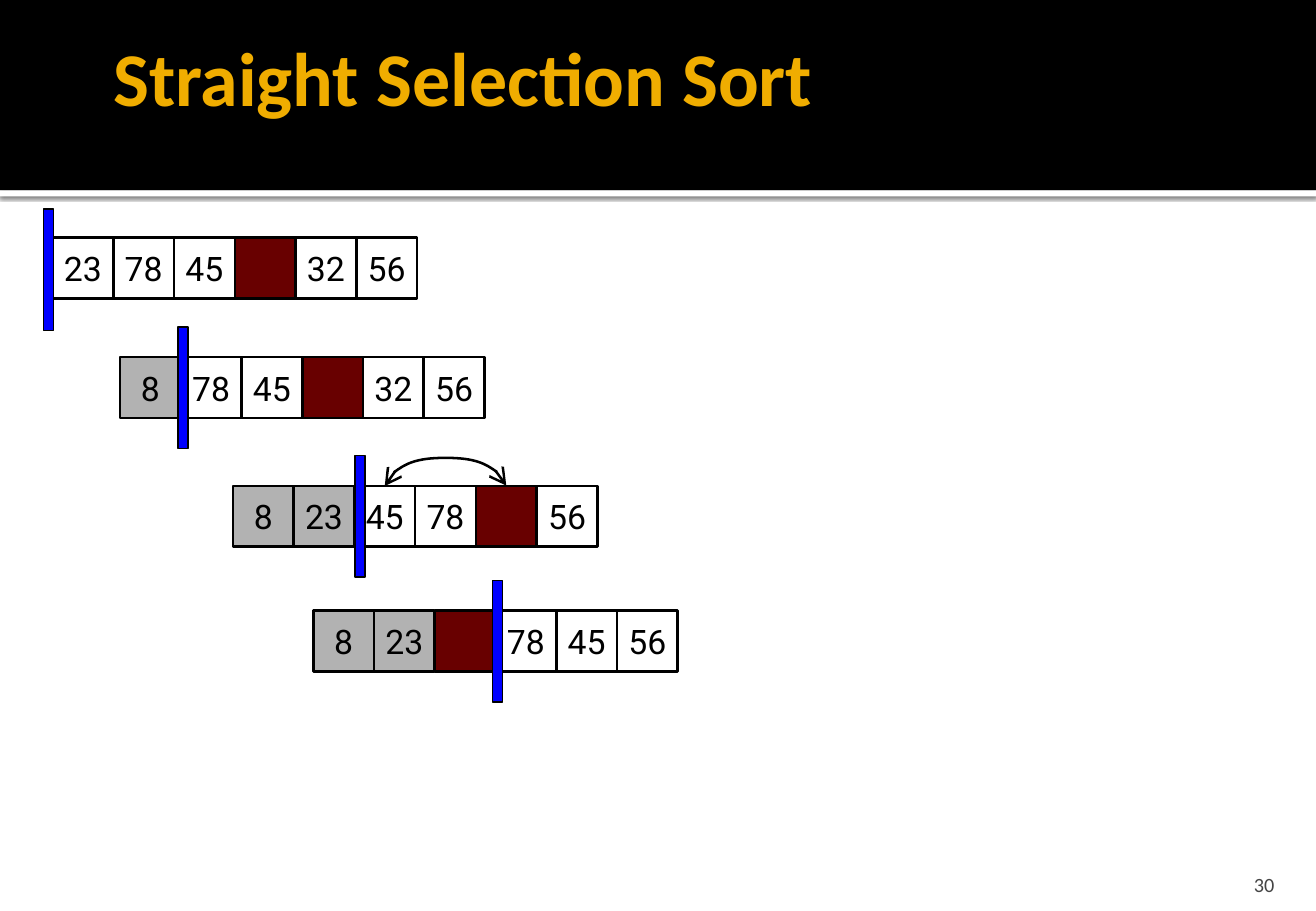
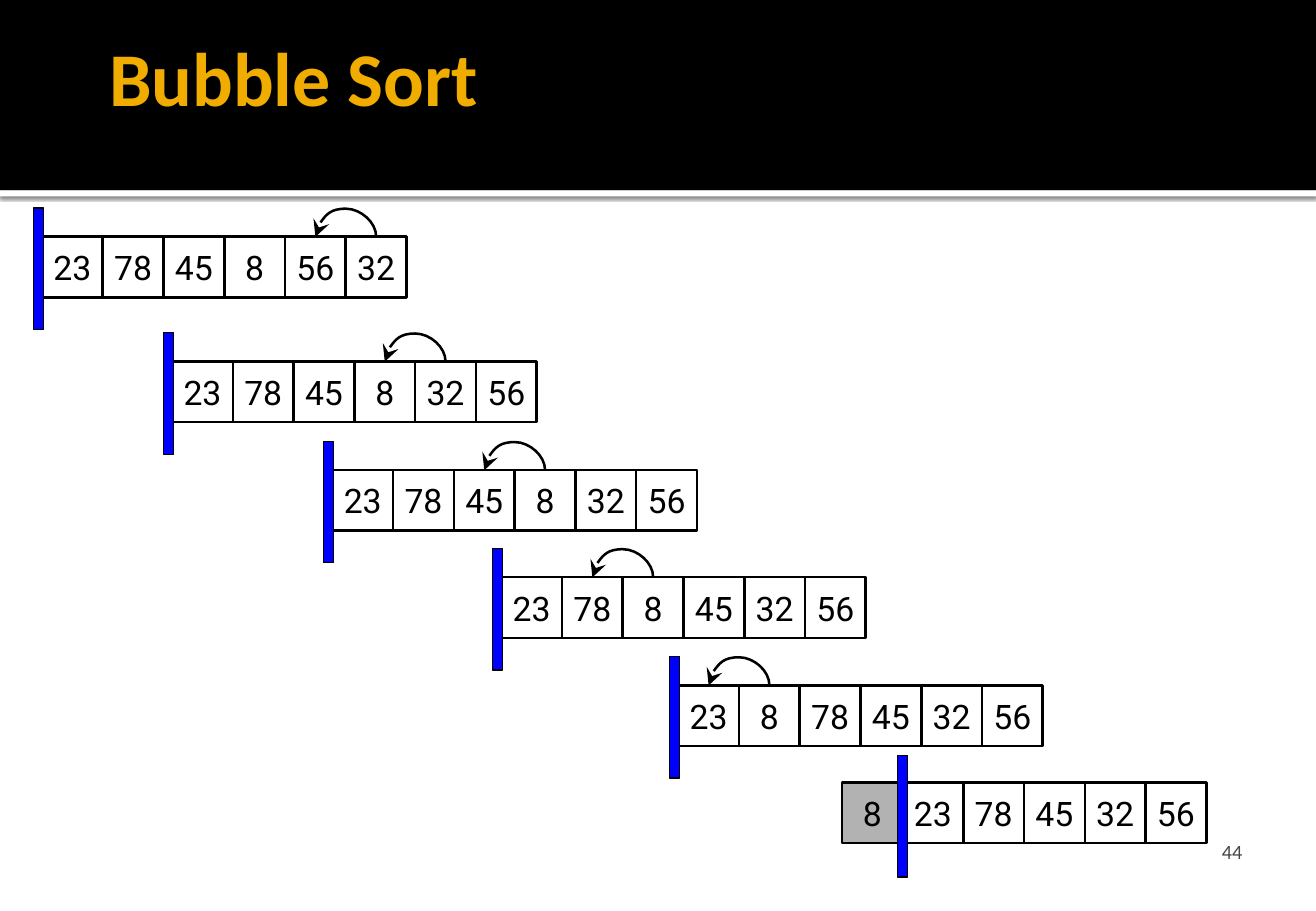
from dataclasses import dataclass
from typing import Any, Optional

from lxml import etree
from pptx import Presentation, util as u
from pptx.dml import color
from pptx.enum import shapes, text
from pptx.oxml import ns

COLORS = {
    "black": "000000",
    "white": "FFFFFF",
    "title": "F0AD00",
    "number": "454545",
    "sorted": "B2B2B2",
    "minimum": "680000",
    "divider": "0000FF",
}
SLIDE_WIDTH, SLIDE_HEIGHT = u.Cm(27.51), u.Cm(19.05)
BAND_HEIGHT, STRIPE_HEIGHT = u.Cm(3.98), u.Cm(0.13)
CELL = u.Cm(1.27)
DIVIDER_WIDTH, DIVIDER_HEIGHT = u.Cm(0.21), u.Cm(2.54)
ARC_RISE, ARC_DEPTH = u.Cm(0.58), u.Cm(0.01)

TITLE_FONT = {"name": "Calibri", "size": u.Pt(45), "bold": True}
NUMBER_FONT = {"name": "Calibri", "size": u.Pt(12)}
CELL_FONT = {"name": "Roboto", "size": u.Pt(20)}
TITLE_FRAME = {
    "vertical_anchor": text.MSO_ANCHOR.MIDDLE, "word_wrap": True,
    "margin_left": u.Cm(0.25), "margin_top": u.Cm(0.13),
    "margin_right": u.Cm(0.13), "margin_bottom": u.Cm(0.13),
}
NUMBER_FRAME = {
    "vertical_anchor": text.MSO_ANCHOR.BOTTOM, "word_wrap": True,
    "margin_left": u.Cm(0.25), "margin_top": u.Cm(0.13),
    "margin_right": u.Cm(0.25), "margin_bottom": 0,
}
CELL_FRAME = {"vertical_anchor": text.MSO_ANCHOR.MIDDLE, "word_wrap": False}


@dataclass(frozen=True)
class Swap:
    """Arc over a row, from one cell back to an earlier one."""
    start: int
    end: int
    ends: dict[str, str]


@dataclass(frozen=True)
class Row:
    """One state of the array, in centimetres; None marks the minimum's cell."""
    left: float
    top: float
    divider: float
    values: tuple[Optional[int], ...]
    sorted_count: int = 0
    swap: Optional[Swap] = None
    divider_rise: float = 0.6


@dataclass(frozen=True)
class SortSlide:
    title: str
    title_left: float
    number: str
    number_left: float
    number_top: float
    rows: tuple[Row, ...]


def bubble(start: int) -> Swap:
    return Swap(start, start - 1, {"tailEnd": "stealth"})


SLIDES = (
    SortSlide("Straight Selection Sort", 2.12, "30", 24.68, 17.98, (
        Row(1.1, 4.97, 0.91, (23, 78, 45, None, 32, 56)),
        Row(2.51, 7.47, 3.72, (8, 78, 45, None, 32, 56), 1, divider_rise=0.63),
        Row(4.87, 10.16, 7.42, (8, 23, 45, 78, None, 56), 2,
            Swap(4, 2, {"headEnd": "arrow", "tailEnd": "arrow"}), 0.63),
        Row(6.55, 12.77, 10.29, (8, 23, None, 78, 45, 56), 2, divider_rise=0.63),
    )),
    SortSlide("Bubble Sort", 2.03, "44", 24.01, 17.29, (
        Row(0.88, 4.95, 0.7, (23, 78, 45, 8, 56, 32), swap=bubble(5)),
        Row(3.6, 7.56, 3.42, (23, 78, 45, 8, 32, 56), swap=bubble(4)),
        Row(6.95, 9.83, 6.76, (23, 78, 45, 8, 32, 56), swap=bubble(3)),
        Row(10.48, 12.07, 10.29, (23, 78, 8, 45, 32, 56), swap=bubble(2)),
        Row(14.18, 14.33, 14.0, (23, 8, 78, 45, 32, 56), swap=bubble(1)),
        Row(17.6, 16.36, 18.77, (8, 23, 78, 45, 32, 56), 1, divider_rise=0.56),
    )),
)


def rgb(name: str) -> color.RGBColor:
    return color.RGBColor.from_string(COLORS[name])


def apply(target: Any, values: dict[str, Any]) -> None:
    for name, value in values.items():
        setattr(target, name, value)


def add_element(parent: Any, tag: str, **attributes: str) -> Any:
    return etree.SubElement(parent, ns.qn(f"a:{tag}"), attributes)


def write(shape: Any, content: str, frame: dict[str, Any], font: dict[str, Any],
          font_color: str, alignment: text.PP_ALIGN) -> None:
    apply(shape.text_frame, frame)
    paragraph = shape.text_frame.paragraphs[0]
    paragraph.text = content
    paragraph.alignment = alignment
    run_font = paragraph.runs[0].font
    apply(run_font, font)
    run_font.color.rgb = rgb(font_color)


def add_box(slide: Any, left: int, top: int, width: int, height: int,
            fill: Optional[str] = None, line: Optional[float] = None) -> Any:
    shape = slide.shapes.add_shape(
        shapes.MSO_SHAPE.RECTANGLE, left, top, width, height)
    shape.shadow.inherit = False
    if fill:
        shape.fill.solid()
        shape.fill.fore_color.rgb = rgb(fill)
    else:
        shape.fill.background()
    if line:
        shape.line.color.rgb = rgb("black")
        shape.line.width = u.Pt(line)
    else:
        shape.line.fill.background()
    return shape


def add_band(slide: Any, layout: Any) -> None:
    """Draw the title band and its stripe, then move them to the layout."""
    stripe = add_box(slide, 0, BAND_HEIGHT, SLIDE_WIDTH, STRIPE_HEIGHT, "white")
    band = add_box(slide, 0, 0, SLIDE_WIDTH, BAND_HEIGHT, "black")
    effects = stripe._element.spPr.find(ns.qn("a:effectLst"))
    shadow = add_element(effects, "outerShdw", blurRad=str(u.Pt(2.5)),
                         dist=str(u.Pt(0.8)), dir="5400000", rotWithShape="0")
    shadow_color = add_element(shadow, "srgbClr", val=COLORS["black"])
    add_element(shadow_color, "alpha", val="60000")
    for index, shape in enumerate((stripe, band)):
        shape._element.nvSpPr.cNvPr.set("id", str(100 + index))
        layout.shapes._spTree.insert(2 + index, shape._element)


def add_arc(slide: Any, start: Any, end: Any, ends: dict[str, str]) -> None:
    """Glue a curved connector to two cell tops and turn it to arch upward."""
    connector = slide.shapes.add_connector(shapes.MSO_CONNECTOR.CURVE, 0, 0, 0, 0)
    connector.begin_connect(start, 0)
    connector.end_connect(end, 0)
    span = start.left - end.left
    middle = (start.left + end.left + CELL) // 2
    apply(connector, {"left": middle - ARC_DEPTH // 2, "top": start.top - span // 2,
                      "width": ARC_DEPTH, "height": span})
    connector.line.color.rgb = rgb("black")
    connector.line.width = u.Pt(1.5)

    properties = connector._element.spPr
    frame = properties.find(ns.qn("a:xfrm"))
    for name, value in {"rot": "16200000", "flipH": "1", "flipV": "1"}.items():
        frame.set(name, value)
    guides = properties.find(f".//{ns.qn('a:avLst')}")
    bend = -round(ARC_RISE / ARC_DEPTH * 100000)
    add_element(guides, "gd", name="adj1", fmla=f"val {bend}")
    line = properties.find(ns.qn("a:ln"))
    for tag, kind in ends.items():
        add_element(line, tag, type=kind, w="lg", len="lg")
    add_element(properties, "effectLst")


def add_row(slide: Any, row: Row) -> None:
    cells = []
    for index, value in enumerate(row.values):
        fill = "sorted" if index < row.sorted_count else None
        if value is None:
            fill = "minimum"
        cell = add_box(slide, u.Cm(row.left) + index * CELL, u.Cm(row.top),
                       CELL, CELL, fill, 1.5)
        if value is not None:
            write(cell, str(value), CELL_FRAME, CELL_FONT, "black",
                  text.PP_ALIGN.CENTER)
        cells.append(cell)
    add_box(slide, u.Cm(row.divider), u.Cm(row.top) - u.Cm(row.divider_rise),
            DIVIDER_WIDTH, DIVIDER_HEIGHT, "divider", 0.75)
    if row.swap:
        add_arc(slide, cells[row.swap.start], cells[row.swap.end], row.swap.ends)


def add_sort_slide(presentation: Any, layout: Any, content: SortSlide) -> Any:
    slide = presentation.slides.add_slide(layout)
    # Title
    title = slide.shapes.title
    apply(title, {"left": u.Cm(content.title_left), "top": 0,
                  "width": u.Cm(23.37), "height": u.Cm(3.18)})
    write(title, content.title, TITLE_FRAME, TITLE_FONT, "title", text.PP_ALIGN.LEFT)
    # Slide number
    number = slide.shapes.add_textbox(
        u.Cm(content.number_left), u.Cm(content.number_top), u.Cm(2.21), u.Cm(0.76))
    write(number, content.number, NUMBER_FRAME, NUMBER_FONT, "number",
          text.PP_ALIGN.RIGHT)
    # Array states
    for row in content.rows:
        add_row(slide, row)
    return slide


def main() -> None:
    presentation = Presentation()
    apply(presentation, {"slide_width": SLIDE_WIDTH, "slide_height": SLIDE_HEIGHT})
    layout = presentation.slide_layouts.get_by_name("Title Only")
    slides = [add_sort_slide(presentation, layout, content) for content in SLIDES]
    add_band(slides[0], layout)
    presentation.save("out.pptx")


if __name__ == "__main__":
    main()
